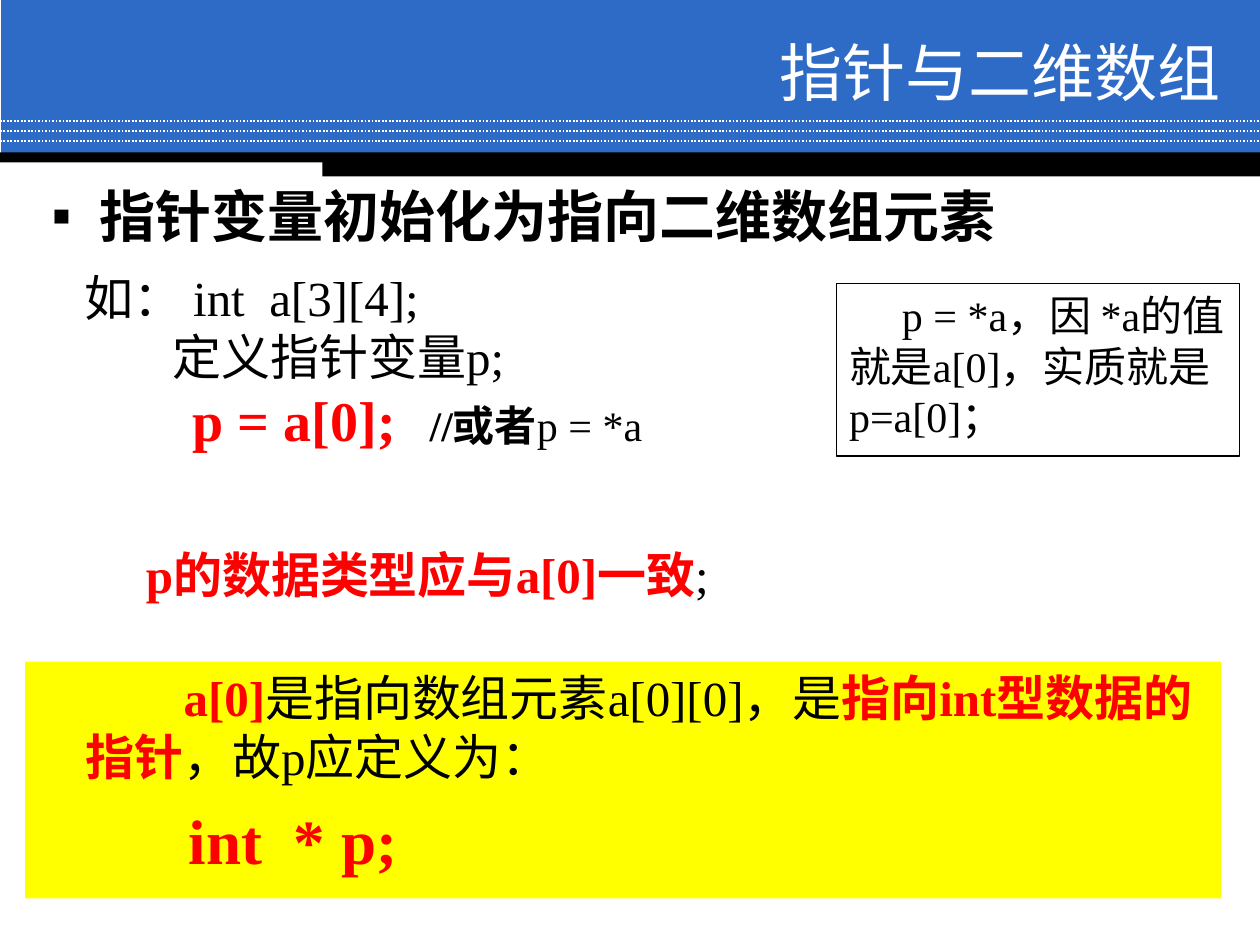
from dataclasses import dataclass
from typing import Optional

from lxml.etree import SubElement
from pptx import Presentation
from pptx.dml.color import RGBColor
from pptx.enum.dml import MSO_LINE
from pptx.enum.shapes import MSO_CONNECTOR, MSO_SHAPE
from pptx.enum.text import MSO_ANCHOR, MSO_AUTO_SIZE, PP_ALIGN
from pptx.oxml.ns import qn
from pptx.util import Inches, Pt

COLORS = {
    "blue": "2D6BC7",
    "white": "FFFFFF",
    "black": "000000",
    "red": "FF0000",
    "yellow": "FFFF00",
}
LATIN_FONT = "Times New Roman"
TITLE_FONT = "Noto Sans CJK SC"


@dataclass
class TextRun:
    text: str
    size: float = 28
    color: str = "black"
    bold: bool = False
    font: str = LATIN_FONT


@dataclass
class TextLine:
    runs: list[TextRun]
    margin: float = 0
    indent: float = 0
    space_before: float = 0
    bullet: Optional[str] = None
    tab: Optional[float] = None
    align: PP_ALIGN = PP_ALIGN.LEFT


@dataclass
class Box:
    left: float
    top: float
    width: float
    height: float

    def lengths(self) -> list[int]:
        return [Inches(value) for value in (self.left, self.top, self.width, self.height)]


def rgb(name: str) -> RGBColor:
    return RGBColor.from_string(COLORS[name])


def add_rectangle(slide, box: Box, fill: Optional[str] = None, line: Optional[str] = None):
    shape = slide.shapes.add_shape(MSO_SHAPE.RECTANGLE, *box.lengths())
    shape.shadow.inherit = False
    if fill:
        shape.fill.solid()
        shape.fill.fore_color.rgb = rgb(fill)
    else:
        shape.fill.background()
    if line:
        shape.line.color.rgb = rgb(line)
        shape.line.width = Pt(0.75)
    else:
        shape.line.fill.background()
    return shape


def add_dotted_line(slide, y: float) -> None:
    connector = slide.shapes.add_connector(
        MSO_CONNECTOR.STRAIGHT, Inches(0), Inches(y), Inches(10), Inches(y)
    )
    connector.line.color.rgb = rgb("white")
    connector.line.width = Pt(1)
    connector.line.dash_style = MSO_LINE.ROUND_DOT
    SubElement(connector._element.spPr, qn("a:effectLst"))


def place_placeholder(slide, placeholder, box: Box) -> None:
    placeholder.left, placeholder.top, placeholder.width, placeholder.height = box.lengths()
    slide.shapes._spTree.append(placeholder._element)


def format_paragraph(paragraph, line: TextLine) -> None:
    paragraph.alignment = line.align
    paragraph.space_before = Pt(line.space_before)
    properties = paragraph._p.get_or_add_pPr()
    properties.set("marL", str(Inches(line.margin)))
    properties.set("indent", str(Inches(line.indent)))
    if line.bullet:
        SubElement(properties, qn("a:buChar"), char=line.bullet)
    else:
        SubElement(properties, qn("a:buNone"))
    if line.tab:
        tabs = SubElement(properties, qn("a:tabLst"))
        SubElement(tabs, qn("a:tab"), pos=str(Inches(line.tab)), algn="l")


def write_text(shape, lines: list[TextLine], anchor: MSO_ANCHOR = MSO_ANCHOR.TOP) -> None:
    frame = shape.text_frame
    frame.word_wrap = True
    frame.auto_size = MSO_AUTO_SIZE.NONE
    frame.vertical_anchor = anchor
    for index, line in enumerate(lines):
        paragraph = frame.add_paragraph() if index else frame.paragraphs[0]
        format_paragraph(paragraph, line)
        for part in line.runs:
            run = paragraph.add_run()
            run.text = part.text
            run.font.name = part.font
            run.font.size = Pt(part.size)
            run.font.bold = part.bold
            run.font.color.rgb = rgb(part.color)


def add_header(slide) -> None:
    add_rectangle(slide, Box(0.01, 0, 9.99, 1.23), "blue")
    for index in range(3):
        add_dotted_line(slide, 0.96 + index * 0.08)
    add_rectangle(slide, Box(0, 1.21, 10, 0.08), "black")
    add_rectangle(slide, Box(2.56, 1.24, 7.44, 0.16), "black")


def main() -> None:
    presentation = Presentation()
    presentation.slide_width = Inches(10)
    presentation.slide_height = Inches(7.5)
    slide = presentation.slides.add_slide(presentation.slide_layouts[1])
    title, body = slide.shapes.title, slide.placeholders[1]

    add_header(slide)

    place_placeholder(slide, body, Box(0.31, 1.39, 9.49, 2.65))
    write_text(body, [
        TextLine([TextRun("指针变量初始化为指向二维数组元素", 32, bold=True)],
                 margin=0.38, indent=-0.38, bullet="▪"),
        TextLine([TextRun("如： int  a[3][4];")], margin=0.26, space_before=11),
        TextLine([TextRun("定义指针变量p;")], margin=0.96),
        TextLine([
            TextRun("p = a[0];\t", 32, "red", True),
            TextRun("//或者", 24, bold=True),
            TextRun("p = *a", 24),
        ], indent=1.12, tab=3.51),
    ])

    conclusion = add_rectangle(slide, Box(0.2, 5.25, 9.49, 1.88), "yellow")
    write_text(conclusion, [
        TextLine([
            TextRun("a[0]", color="red", bold=True),
            TextRun("是指向数组元素a[0][0]，是"),
            TextRun("指向int型数据的指针", color="red", bold=True),
            TextRun("，故p应定义为："),
        ], margin=0.38, indent=0.78),
        TextLine([TextRun("int  * p;", 36, "red", True)], margin=1.2, space_before=9.5),
    ])

    explanation = add_rectangle(slide, Box(6.64, 2.25, 3.2, 1.37), line="black")
    write_text(explanation, [
        TextLine([TextRun("p = *a，因 *a的值就是a[0]，实质就是p=a[0]；", 24)], indent=0.42),
    ])

    type_rule = slide.shapes.add_textbox(*Box(0.67, 4.27, 5.65, 0.57).lengths())
    write_text(type_rule, [
        TextLine([
            TextRun("p的数据类型应与a[0]一致", color="red", bold=True),
            TextRun(";"),
        ], indent=0.39),
    ])

    place_placeholder(slide, title, Box(2.87, 0.28, 6.92, 0.58))
    write_text(title, [
        TextLine([TextRun("指针与二维数组", 36, "white", font=TITLE_FONT)],
                 align=PP_ALIGN.RIGHT),
    ], MSO_ANCHOR.MIDDLE)

    presentation.save("out.pptx")


if __name__ == "__main__":
    main()
